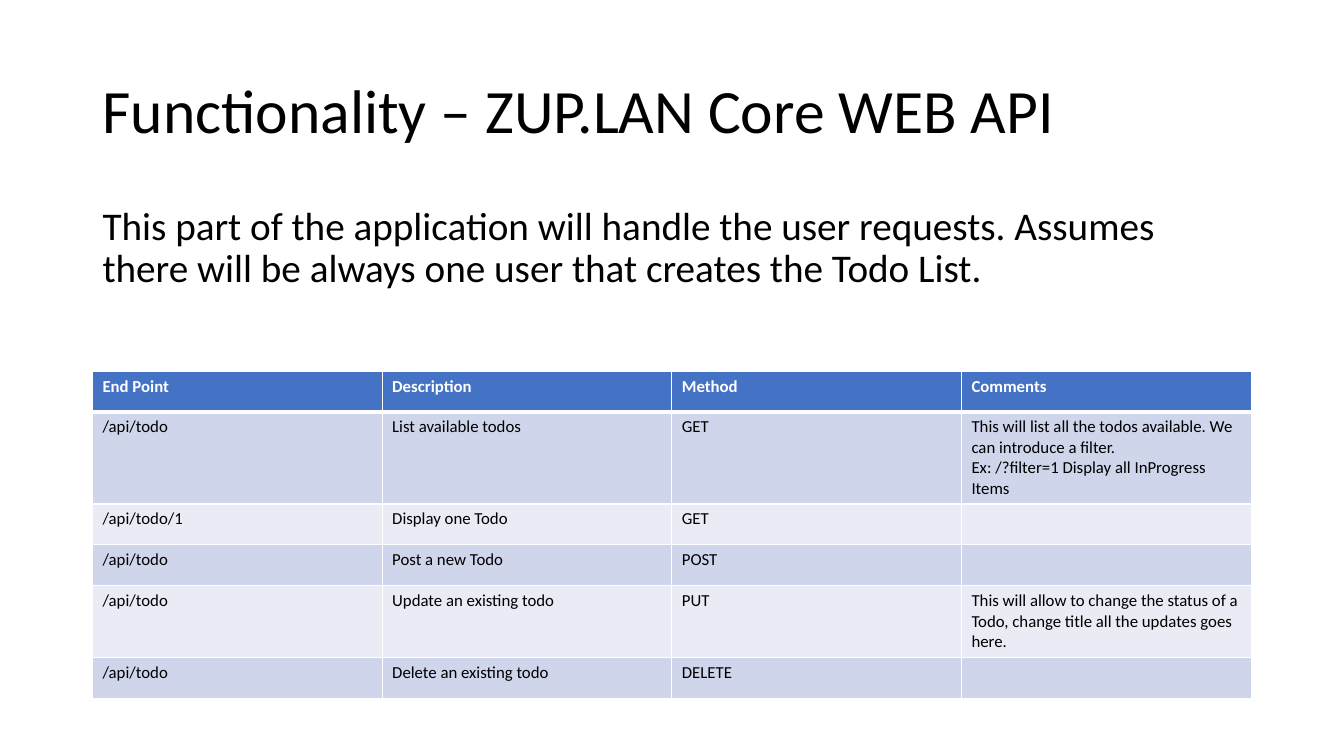
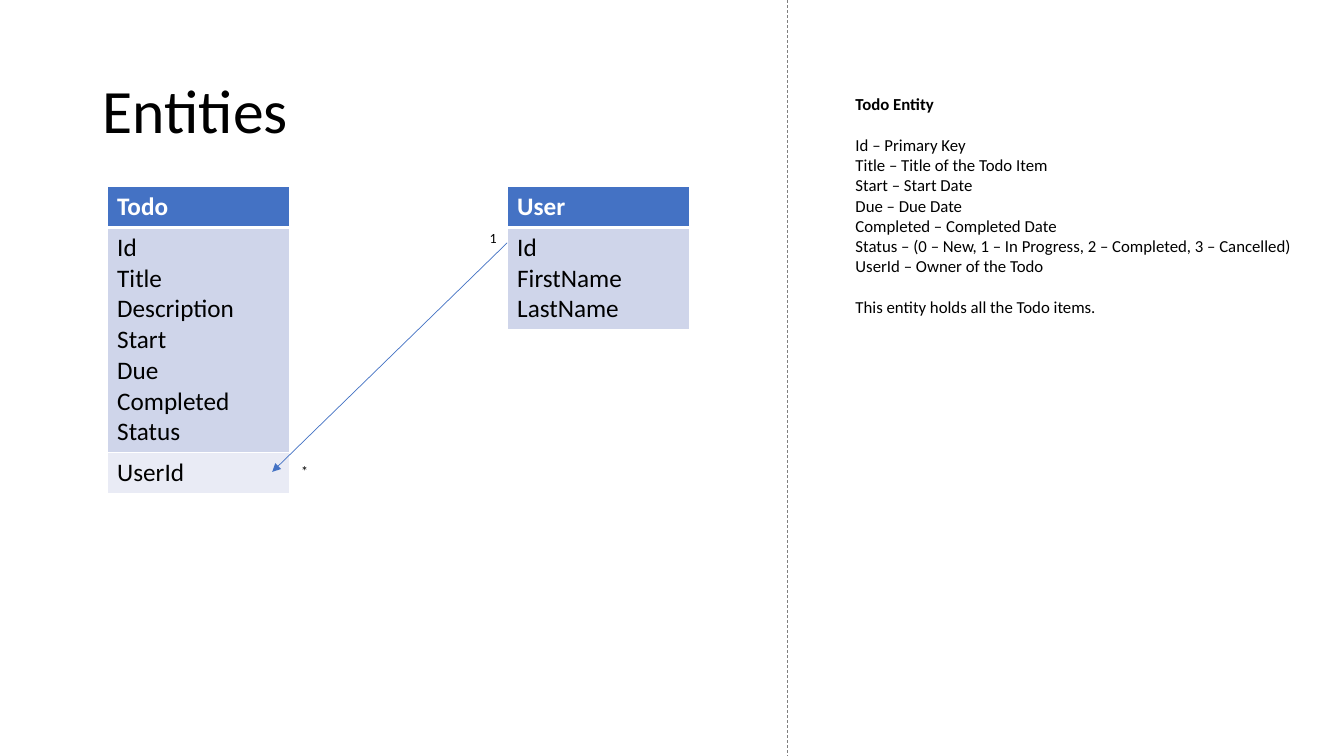
from dataclasses import dataclass
from lxml.etree import SubElement as Sub
from pptx import Presentation
from pptx.dml.color import RGBColor as Rgb
from pptx.enum.dml import MSO_LINE as Dash
from pptx.enum.shapes import MSO_CONNECTOR as Link
from pptx.enum.text import MSO_ANCHOR as Anchor, MSO_AUTO_SIZE as Fit, PP_ALIGN as Align
from pptx.oxml.ns import qn
from pptx.util import Cm, Pt


@dataclass(frozen=True)
class Theme:
    font: str = "Calibri"
    ink: str = "000000"
    paper: str = "FFFFFF"
    blue: str = "4472C4"
    bands: tuple = ("CFD5EA", "E9EBF5")
    rule: str = "7F7F7F"
    title: int = 44
    body: int = 28
    cell: int = 18
    note: int = 12
    mark: int = 10
    thin: float = 0.5
    edge: int = 1
    thick: int = 3


class Deck:
    """Hold the theme and the current slide, and draw each kind of element."""

    def __init__(self, theme):
        self.theme = theme
        self.prs = Presentation()
        self.prs.slide_width, self.prs.slide_height = Cm(33.87), Cm(19.05)

    def style(self, para, size, color=None, bold=False):
        for run in para.runs:
            font = run.font
            font.name, font.size, font.bold = self.theme.font, Pt(size), bold
            font.color.rgb = Rgb.from_string(color or self.theme.ink)

    def place(self, shape, left, top, width, height):
        shape.left, shape.top = Cm(left), Cm(top)
        shape.width, shape.height = Cm(width), Cm(height)

    def holder(self, shape, text, size, box, anchor):
        self.place(shape, *box)
        frame = shape.text_frame
        frame.text = text
        frame.auto_size, frame.vertical_anchor = Fit.NONE, anchor
        para = frame.paragraphs[0]
        para.alignment, para.line_spacing = Align.LEFT, 0.9
        self.style(para, size)
        return para

    def page(self, title, layout):
        self.slide = self.prs.slides.add_slide(self.prs.slide_layouts[layout])
        self.holder(self.slide.shapes.title, title, self.theme.title,
                    (2.33, 1.01, 29.21, 3.68), Anchor.MIDDLE)

    def body(self, text):
        para = self.holder(self.slide.placeholders[1], text, self.theme.body,
                           (2.33, 5.07, 29.21, 12.09), Anchor.TOP)
        para.space_before = Pt(10)
        props = para._p.get_or_add_pPr()
        props.set("marL", "0")
        props.set("indent", "0")
        Sub(props, qn("a:buNone"))

    def edges(self, cell, row):
        props = cell._tc.get_or_add_tcPr()
        heavy = {("lnB", 0), ("lnT", 1)}
        for side in ("lnL", "lnR", "lnT", "lnB"):
            width = self.theme.thick if (side, row) in heavy else self.theme.edge
            line = Sub(props, qn(f"a:{side}"), w=str(Pt(width)))
            fill = Sub(line, qn("a:solidFill"))
            Sub(fill, qn("a:srgbClr"), val=self.theme.paper)

    def table(self, rows, left, top, width, size):
        tall, theme = 1.03, self.theme
        grid = self.slide.shapes.add_table(
            len(rows), len(rows[0]), Cm(left), Cm(top),
            Cm(width * len(rows[0])), Cm(tall * len(rows))).table
        for r, row in enumerate(rows):
            grid.rows[r].height = Cm(tall)
            head = r == 0
            fill = theme.blue if head else theme.bands[(r - 1) % 2]
            for c, text in enumerate(row):
                cell = grid.cell(r, c)
                self.edges(cell, r)
                cell.fill.solid()
                cell.fill.fore_color.rgb = Rgb.from_string(fill)
                cell.text_frame.text = text
                for para in cell.text_frame.paragraphs:
                    self.style(para, size, theme.paper if head else theme.ink, head)

    def text(self, text, box, size, wrap=True):
        shape = self.slide.shapes.add_textbox(*map(Cm, box))
        frame = shape.text_frame
        frame.text = text
        frame.word_wrap, frame.auto_size = wrap, Fit.SHAPE_TO_FIT_TEXT
        for para in frame.paragraphs:
            self.style(para, size)
        return frame.paragraphs

    def line(self, ends, color, dash=None, arrow=False):
        link = self.slide.shapes.add_connector(Link.STRAIGHT, *map(Cm, ends))
        link.line.color.rgb = Rgb.from_string(color)
        link.line.width = Pt(self.theme.thin)
        if dash:
            link.line.dash_style = dash
        if arrow:
            Sub(link.line._get_or_add_ln(), qn("a:tailEnd"), type="triangle")
        Sub(link._element.spPr, qn("a:effectLst"))


def api(deck):
    deck.page("Functionality – ZUP.LAN Core WEB API", 1)
    deck.body("This part of the application will handle the user requests. "
              "Assumes there will be always one user that creates the Todo List.")
    rows = [
        ("End Point", "Description", "Method", "Comments"),
        ("/api/todo", "List available todos", "GET",
         "This will list all the todos available. We can introduce a filter.\n"
         "Ex: /?filter=1 Display all InProgress Items"),
        ("/api/todo/1", "Display one Todo", "GET", ""),
        ("/api/todo", "Post a new Todo", "POST", ""),
        ("/api/todo", "Update an existing todo", "PUT",
         "This will allow to change the status of a Todo, "
         "change title all the updates goes here."),
        ("/api/todo", "Delete an existing todo", "DELETE", ""),
    ]
    deck.table(rows, 2.33, 9.35, 7.3, deck.theme.note)


def model(deck):
    theme = deck.theme
    deck.page("Entities", 5)
    todo = "Id\nTitle\nDescription\nStart\nDue\nCompleted\nStatus"
    deck.table([("Todo",), (todo,), ("UserId",)], 2.7, 4.7, 4.6, theme.cell)
    deck.table([("User",), ("Id\nFirstName\nLastName",)], 12.78, 4.7, 4.6, theme.cell)
    deck.line((12.78, 6.12, 6.86, 11.89), theme.blue, arrow=True)
    for sign, left, top in (("1", 12.09, 5.66), ("*", 7.34, 11.53)):
        deck.text(sign, (left, top, 0.69, 0.69), theme.mark, wrap=False)
    notes = [
        "Todo Entity",
        "Id – Primary Key",
        "Title – Title of the Todo Item",
        "Start – Start Date",
        "Due – Due Date",
        "Completed – Completed Date",
        "Status – (0 – New, 1 – In Progress, 2 – Completed, 3 – Cancelled)",
        "UserId – Owner of the Todo",
        "This entity holds all the Todo items.",
    ]
    paras = deck.text("\n".join(notes), (21.31, 2.25, 11.99, 5.89), theme.note)
    deck.style(paras[0], theme.note, bold=True)
    for para in (paras[1], paras[-1]):
        para.space_before = Pt(14.6)
    deck.line((19.85, 0, 19.85, 19.05), theme.rule, dash=Dash.DASH)


def main():
    deck = Deck(Theme())
    api(deck)
    model(deck)
    deck.prs.save("out.pptx")


if __name__ == "__main__":
    main()
